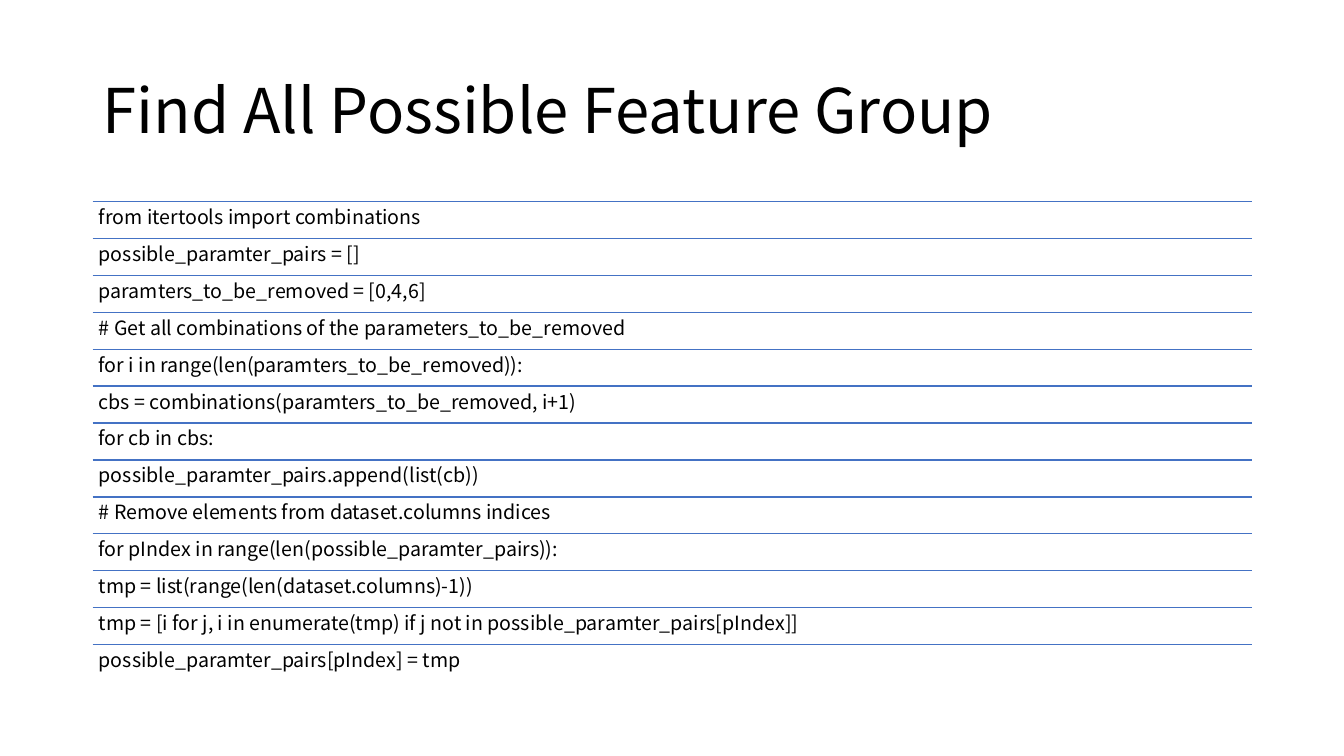
from dataclasses import dataclass

from lxml.etree import SubElement
from pptx import Presentation
from pptx.dml.color import RGBColor
from pptx.enum.shapes import MSO_CONNECTOR
from pptx.enum.text import MSO_ANCHOR, MSO_AUTO_SIZE, PP_ALIGN
from pptx.oxml.ns import qn
from pptx.shapes.base import BaseShape
from pptx.slide import Slide
from pptx.util import Inches, Pt

COLORS = {"text": "000000", "rule": "4472C4"}
FONT = "Noto Sans CJK SC"
CODE_LINES = [
    "from itertools import combinations",
    "possible_paramter_pairs = []",
    "paramters_to_be_removed = [0,4,6]",
    "# Get all combinations of the parameters_to_be_removed",
    "for i in range(len(paramters_to_be_removed)):",
    "cbs = combinations(paramters_to_be_removed, i+1)",
    "for cb in cbs:",
    "possible_paramter_pairs.append(list(cb))",
    "# Remove elements from dataset.columns indices",
    "for pIndex in range(len(possible_paramter_pairs)):",
    "tmp = list(range(len(dataset.columns)-1))",
    "tmp = [i for j, i in enumerate(tmp) if j not in possible_paramter_pairs[pIndex]]",
    "possible_paramter_pairs[pIndex] = tmp",
]


@dataclass(frozen=True)
class Box:
    left: int
    top: int
    width: int
    height: int

    def row(self, index: int, count: int) -> "Box":
        """Return one of count equal rows of this box."""
        height = self.height // count
        return Box(self.left, self.top + index * height, self.width, height)


TITLE = Box(Inches(0.92), Inches(0.4), Inches(11.5), Inches(1.45))
CODE = Box(TITLE.left, Inches(2), TITLE.width, Inches(4.76))


def set_text(shape: BaseShape, text: str, size: int, anchor: MSO_ANCHOR) -> None:
    tf = shape.text_frame
    tf.text = text
    tf.word_wrap = True
    tf.auto_size = MSO_AUTO_SIZE.NONE
    tf.vertical_anchor = anchor
    p = tf.paragraphs[0]
    p.alignment = PP_ALIGN.LEFT
    p.line_spacing = 0.9
    font = p.runs[0].font
    font.name = FONT
    font.size = Pt(size)
    font.color.rgb = RGBColor.from_string(COLORS["text"])


def add_title(s: Slide, text: str) -> None:
    title = s.shapes.title
    title.left, title.top = TITLE.left, TITLE.top
    title.width, title.height = TITLE.width, TITLE.height
    set_text(title, text, 44, MSO_ANCHOR.MIDDLE)


def add_code_row(s: Slide, box: Box, text: str) -> None:
    """Draw a rule with a line of code below it."""
    rule = s.shapes.add_connector(
        MSO_CONNECTOR.STRAIGHT, box.left, box.top, box.left + box.width, box.top
    )
    rule.line.color.rgb = RGBColor.from_string(COLORS["rule"])
    rule.line.width = Pt(1)
    SubElement(rule._element.spPr, qn("a:effectLst"))

    label = s.shapes.add_textbox(box.left, box.top, box.width, box.height)
    set_text(label, text, 14, MSO_ANCHOR.TOP)
    tf = label.text_frame
    tf.margin_left = tf.margin_right = Inches(0.06)
    tf.margin_top = tf.margin_bottom = Inches(0.06)


def main() -> None:
    prs = Presentation()
    prs.slide_width, prs.slide_height = Inches(13.33), Inches(7.5)
    s = prs.slides.add_slide(prs.slide_layouts.get_by_name("Title Only"))
    add_title(s, "Find All Possible Feature Group")
    for i, text in enumerate(CODE_LINES):
        add_code_row(s, CODE.row(i, len(CODE_LINES)), text)
    prs.save("out.pptx")


if __name__ == "__main__":
    main()
